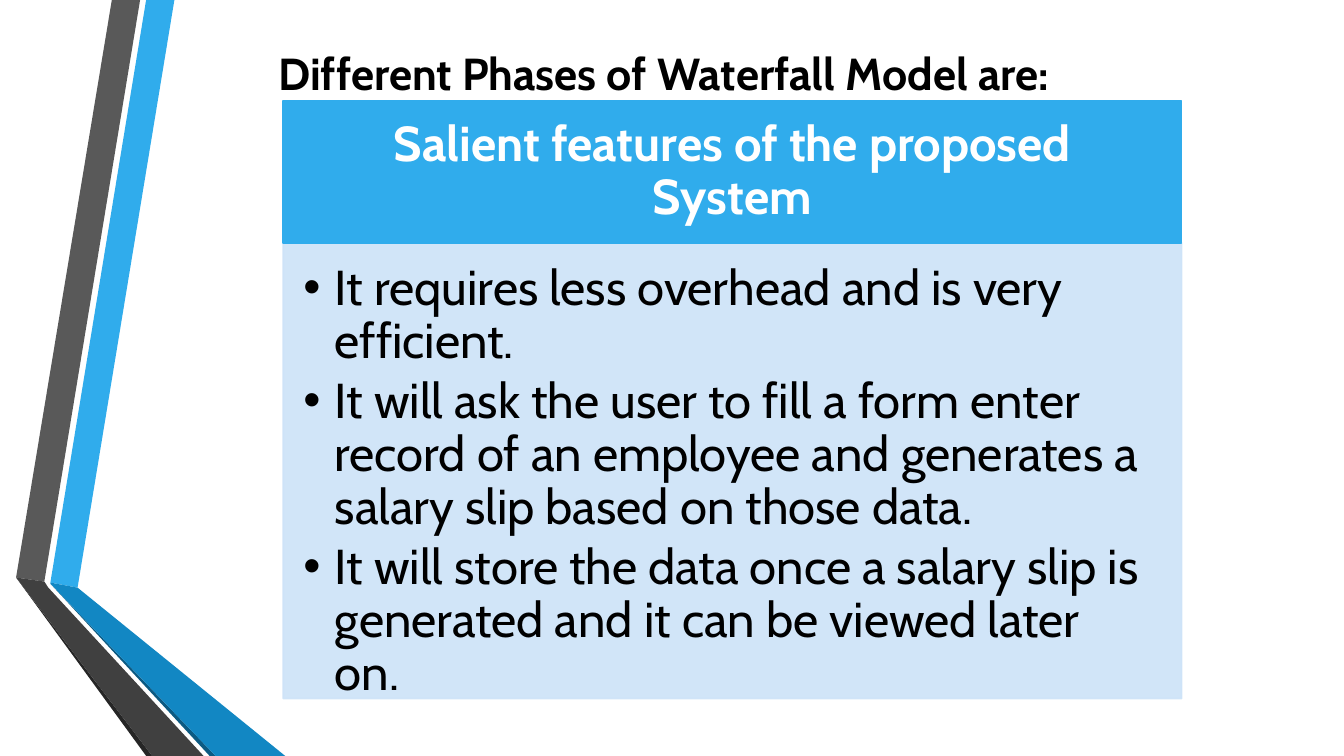
from lxml.etree import SubElement
from pptx import Presentation
from pptx.dml.color import RGBColor
from pptx.enum.shapes import MSO_SHAPE
from pptx.enum.text import MSO_ANCHOR, MSO_AUTO_SIZE, PP_ALIGN
from pptx.oxml.ns import qn
from pptx.util import Inches, Pt

BLUE = "30ACEC"
PALE = "CDE3F8"
RIBBONS = [
    (BLUE, [(0.5, 5.78), (0.77, 5.83), (1.73, 0), (1.45, 0)]),
    ("595959", [(1.39, 0), (1.11, 0), (0.16, 5.73), (0.44, 5.77)]),
    ("262626", [(0.16, 5.73), (1.45, 7.5), (1.51, 7.5)]),
    ("0C5A82", [(0.5, 5.79), (2.08, 7.5), (2.14, 7.5)]),
    ("1287C3", [(0.5, 5.79), (2.14, 7.5), (2.83, 7.5), (0.77, 5.83), (0.5, 5.78)]),
    ("404040", [(2.02, 7.5), (0.48, 5.83), (0.44, 5.77), (0.16, 5.73), (1.51, 7.5)]),
]
FEATURES = [
    "It requires less overhead and is very efficient.",
    "It will ask the user to fill a form enter record of an employee "
    "and generates a salary slip based on those data.",
    "It will store the data once a salary slip is generated "
    "and it can be viewed later on.",
]


def paint(fill, color, alpha=100):
    fill.solid()
    fill.fore_color.rgb = RGBColor.from_string(color)
    if alpha < 100:
        tone = fill._xPr.find(qn("a:solidFill"))[0]
        SubElement(tone, qn("a:alpha")).set("val", str(alpha * 1000))


def place(shape, left, top, width, height):
    shape.left, shape.top = Inches(left), Inches(top)
    shape.width, shape.height = Inches(width), Inches(height)


def panel(shape, color, alpha=100):
    paint(shape.fill, color, alpha)
    paint(shape.line.fill, color, alpha)
    shape.line.width = Pt(1.25)


def write(shape, lines, size, color, bold, align, anchor, insets, space=1.0, after=0):
    frame = shape.text_frame
    frame.text = "\n".join(lines)
    frame.word_wrap = True
    frame.auto_size = MSO_AUTO_SIZE.NONE
    frame.vertical_anchor = anchor
    (frame.margin_left, frame.margin_top,
     frame.margin_right, frame.margin_bottom) = map(Inches, insets)
    for para in frame.paragraphs:
        para.alignment = align
        para.line_spacing = space
        para.space_before = Pt(0)
        para.space_after = Pt(after)
        para.font.name = "Cabin"
        para.font.size = Pt(size)
        para.font.bold = bold
        para.font.color.rgb = RGBColor.from_string(color)


def bullet(para, indent):
    props = para._p.get_or_add_pPr()
    props.set("marL", str(Inches(indent)))
    props.set("indent", str(-Inches(indent)))


def ribbon(slide, color, points):
    start, *rest = [(Inches(x), Inches(y)) for x, y in points]
    builder = slide.shapes.build_freeform(*start)
    builder.add_line_segments(rest, close=True)
    shape = builder.convert_to_shape()
    shape.shadow.inherit = False
    paint(shape.fill, color)
    shape.line.fill.background()


def header(slide, text):
    shape = slide.shapes.add_shape(
        MSO_SHAPE.RECTANGLE, Inches(2.81), Inches(1), Inches(8.91), Inches(1.41))
    shape.shadow.inherit = False
    panel(shape, BLUE)
    write(shape, [text], 35, "FFFFFF", True, PP_ALIGN.CENTER, MSO_ANCHOR.MIDDLE,
          (0.27, 0.16, 0.27, 0.16), 0.9)


def main():
    deck = Presentation()
    deck.slide_width, deck.slide_height = Inches(13.33), Inches(7.5)
    slide = deck.slides.add_slide(deck.slide_layouts[1])

    for color, points in RIBBONS:
        ribbon(slide, color, points)
    header(slide, "Salient features of the proposed System")

    body = slide.placeholders[1]
    place(body, 2.81, 2.41, 8.91, 4.52)
    panel(body, PALE, 90)
    write(body, FEATURES, 35, "000000", False, PP_ALIGN.LEFT, MSO_ANCHOR.TOP,
          (0.2, 0.2, 0.27, 0.31), 0.9, 5.25)
    for para in body.text_frame.paragraphs:
        bullet(para, 0.31)

    title = slide.shapes.title
    place(title, 2.66, 0.4, 8.94, 1.18)
    write(title, ["Different Phases of Waterfall Model are:"], 32, "000000", True,
          PP_ALIGN.LEFT, MSO_ANCHOR.TOP, (0.1, 0.05, 0.1, 0.05))

    deck.save("out.pptx")


if __name__ == "__main__":
    main()
